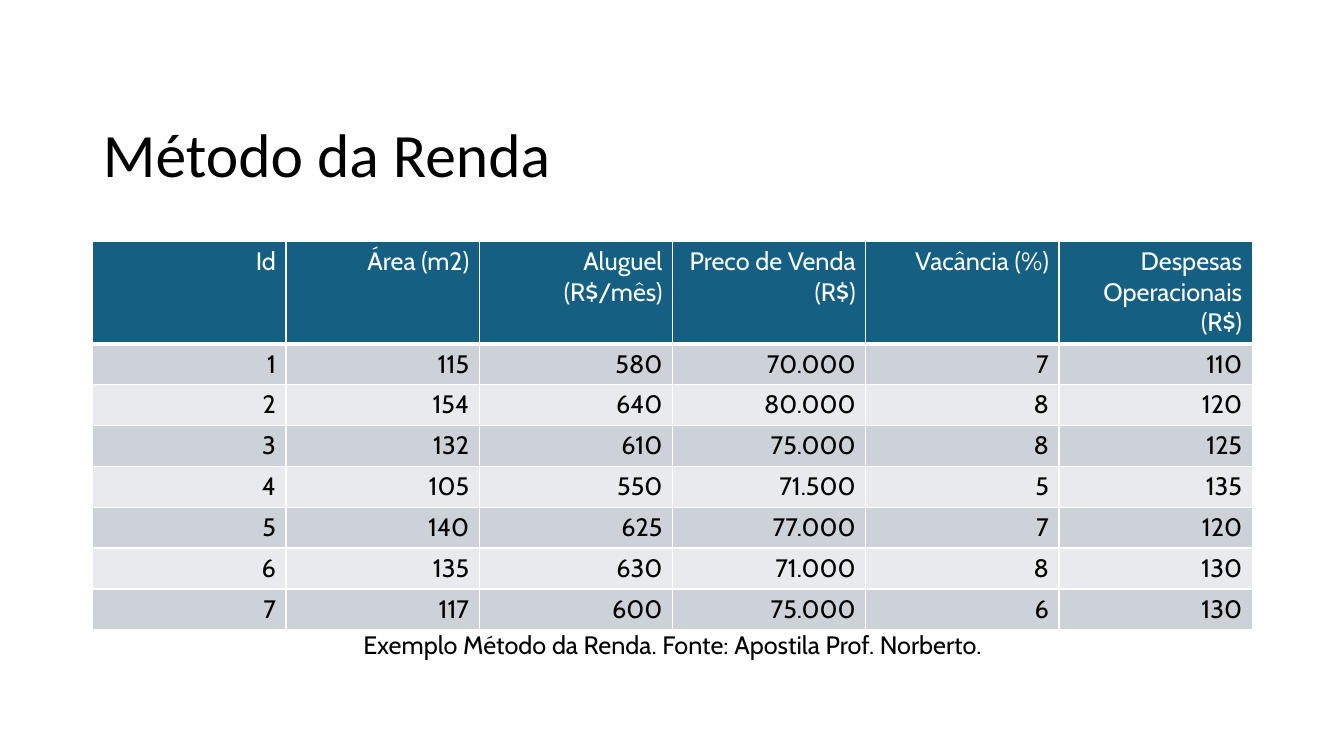
from lxml import etree
from pptx import Presentation
from pptx.dml.color import RGBColor
from pptx.enum.text import MSO_ANCHOR, PP_ALIGN
from pptx.oxml.ns import qn
from pptx.util import Pt

PX = 9144  # 100 px to the inch
LEFT, CENTER, RIGHT = PP_ALIGN.LEFT, PP_ALIGN.CENTER, PP_ALIGN.RIGHT
TOP, MIDDLE = MSO_ANCHOR.TOP, MSO_ANCHOR.MIDDLE

WHITE = RGBColor(0xFF, 0xFF, 0xFF)
BLACK = RGBColor(0x00, 0x00, 0x00)
HEADER_BLUE = RGBColor(0x15, 0x60, 0x82)
BAND_DARK = RGBColor(0xCC, 0xD2, 0xD8)
BAND_LIGHT = RGBColor(0xE8, 0xEA, 0xED)

HEADER_H, ROW_H = 102, 40
ROWS = [
    ["Id", "Área (m2)", "Aluguel (R$/mês)", "Preco de Venda (R$)",
     "Vacância (%)", "Despesas Operacionais (R$)"],
    ["1", "115", "580", "70.000", "7", "110"],
    ["2", "154", "640", "80.000", "8", "120"],
    ["3", "132", "610", "75.000", "8", "125"],
    ["4", "105", "550", "71.500", "5", "135"],
    ["5", "140", "625", "77.000", "7", "120"],
    ["6", "135", "630", "71.000", "8", "130"],
    ["7", "117", "600", "75.000", "6", "130"],
]


def emu(box):
    return [v * PX for v in box]


def write(tf, text, size=18, font="Cabin", color=BLACK, align=LEFT,
          anchor=TOP, spacing=None):
    tf.word_wrap = True
    tf.vertical_anchor = anchor
    p = tf.paragraphs[0]
    p.alignment = align
    p.line_spacing = spacing
    r = p.add_run()
    r.text = text
    r.font.size = Pt(size)
    r.font.name = font
    r.font.bold = False
    r.font.color.rgb = color


def set_borders(cell, bottom=1):
    tc_pr = cell._tc.get_or_add_tcPr()
    for side, width in (("L", 1), ("R", 1), ("T", 1), ("B", bottom)):
        ln = etree.SubElement(tc_pr, qn("a:ln" + side), w=str(Pt(width)))
        fill = etree.SubElement(ln, qn("a:solidFill"))
        etree.SubElement(fill, qn("a:srgbClr"), val=str(WHITE))


def add_title(slide, box):
    sp = slide.shapes.title
    sp.left, sp.top, sp.width, sp.height = emu(box)
    write(sp.text_frame, "Método da Renda", size=44, font="Calibri",
          anchor=MIDDLE, spacing=0.9)


def add_income_table(slide, box):
    table = slide.shapes.add_table(len(ROWS), len(ROWS[0]), *emu(box)).table
    for i, values in enumerate(ROWS):
        header = i == 0
        table.rows[i].height = (HEADER_H if header else ROW_H) * PX
        band = HEADER_BLUE if header else BAND_DARK if i % 2 else BAND_LIGHT
        for j, value in enumerate(values):
            cell = table.cell(i, j)
            set_borders(cell, bottom=3 if header else 1)
            cell.fill.solid()
            cell.fill.fore_color.rgb = band
            write(cell.text_frame, value, align=RIGHT,
                  color=WHITE if header else BLACK)


def add_caption(slide, box):
    sp = slide.shapes.add_textbox(*emu(box))
    write(sp.text_frame, "Exemplo Método da Renda. Fonte: Apostila Prof. Norberto.",
          align=CENTER)


def main():
    prs = Presentation()
    prs.slide_width, prs.slide_height = emu((1333, 750))
    slide = prs.slides.add_slide(prs.slide_layouts[5])  # title only
    left, width = 92, 1150
    add_title(slide, (left, 108, width, 97))
    add_income_table(slide, (left, 239, width, HEADER_H + ROW_H * (len(ROWS) - 1)))
    add_caption(slide, (left, 619, width, 56))
    prs.save("out.pptx")


if __name__ == "__main__":
    main()
